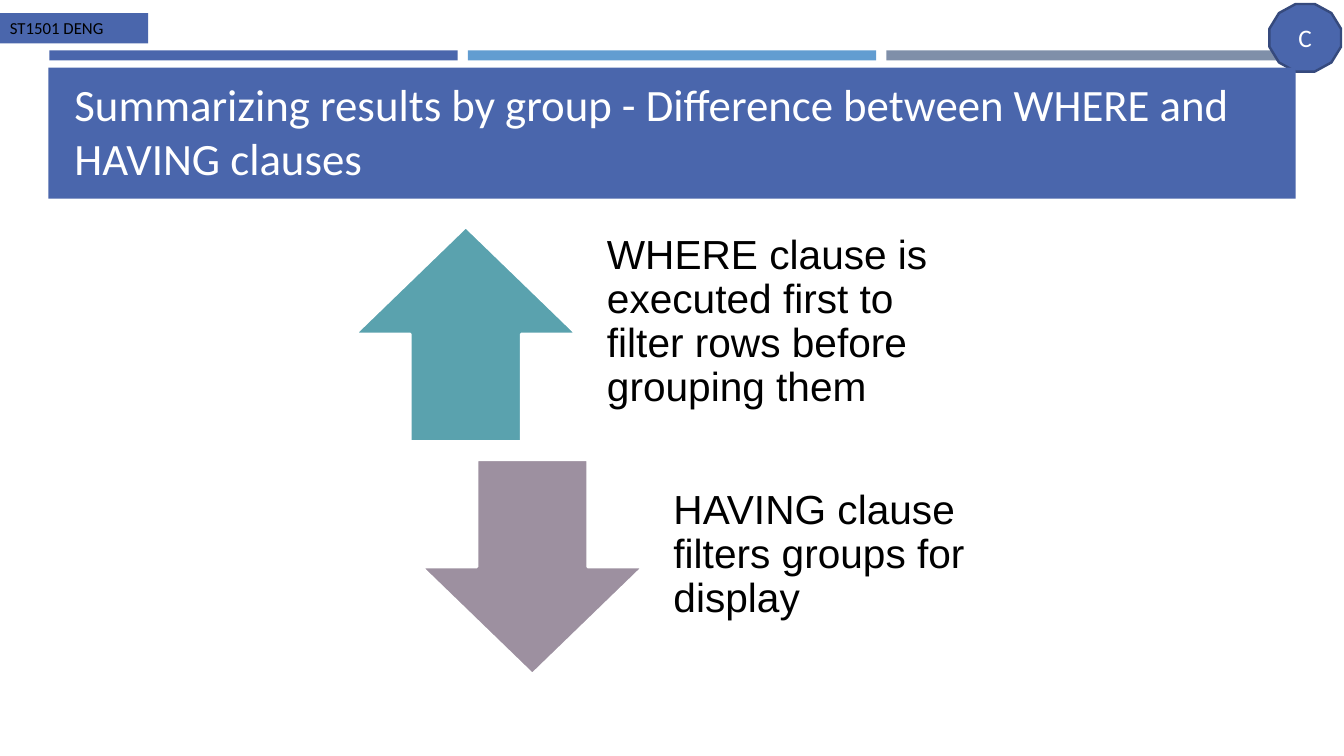
"""Build a slide contrasting the WHERE and HAVING clauses."""
from pptx import Presentation
from pptx.dml.color import RGBColor
from pptx.enum.shapes import MSO_SHAPE as Shape
from pptx.enum.text import MSO_ANCHOR as Anchor, PP_ALIGN as Align
from pptx.util import Inches, Pt

BLUE = "4A66AC"

deck = Presentation()
deck.slide_width, deck.slide_height = Inches(13.33), Inches(7.5)
page = deck.slides.add_slide(deck.slide_layouts[6])


def add_box(kind, left, top, width, height, fill=None, line=None, line_width=1):
    box = page.shapes.add_shape(kind, Inches(left), Inches(top), Inches(width), Inches(height))
    box.shadow.inherit = False
    if fill:
        box.fill.solid()
        box.fill.fore_color.rgb = RGBColor.from_string(fill)
    else:
        box.fill.background()
    if line:
        box.line.color.rgb = RGBColor.from_string(line)
        box.line.width = Pt(line_width)
    else:
        box.line.fill.background()
    return box


def write(box, text, size, color="000000", font="Calibri", align=Align.LEFT,
          anchor=Anchor.MIDDLE, insets=(0.1, 0.05, 0.1, 0.05), spacing=1.0):
    frame = box.text_frame
    frame.word_wrap = True
    frame.vertical_anchor = anchor
    frame.margin_left, frame.margin_top, frame.margin_right, frame.margin_bottom = map(Inches, insets)
    para = frame.paragraphs[0]
    para.alignment = align
    para.line_spacing = spacing
    span = para.add_run()
    span.text = text
    span.font.size = Pt(size)
    span.font.name = font
    span.font.color.rgb = RGBColor.from_string(color)


for column, color in enumerate([BLUE, "629DD1", "7F8FA9"]):
    add_box(Shape.RECTANGLE, 0.49 + 4.15 * column, 0.5, 4.05, 0.1, color)

badge = add_box(Shape.DODECAGON, 12.59, 0.04, 0.71, 0.67, BLUE, "364A7D", 1.75)
write(badge, "C", 18, "FFFFFF", align=Align.CENTER)

course_tag = add_box(Shape.RECTANGLE, 0, 0.13, 1.47, 0.3, BLUE)
write(course_tag, "ST1501 DENG", 12, anchor=Anchor.TOP)

add_box(Shape.RECTANGLE, 0.48, 0.67, 12.37, 1.3, BLUE)
title = page.shapes.add_textbox(Inches(0.64), Inches(0.77), Inches(12.06), Inches(1.11))
write(title, "Summarizing results by group - Difference between WHERE and HAVING clauses",
      32, "FFFFFF", anchor=Anchor.BOTTOM)

clauses = [
    (Shape.UP_ARROW, "5AA2AE", "WHERE clause is executed first to filter rows before grouping them"),
    (Shape.DOWN_ARROW, "9D90A0", "HAVING clause filters groups for display"),
]
for row, (arrow, color, text) in enumerate(clauses):
    left, top = 3.52 + 0.66 * row, 2.25 + 2.31 * row
    add_box(arrow, left, top, 2.2, 2.13, color, "FFFFFF", 2)
    label = page.shapes.add_textbox(Inches(left + 2.27), Inches(top), Inches(3.73), Inches(2.13))
    write(label, text, 29, font="Arial", insets=(0.23, 0, 0.23, 0.23), spacing=0.9)

deck.save("out.pptx")
